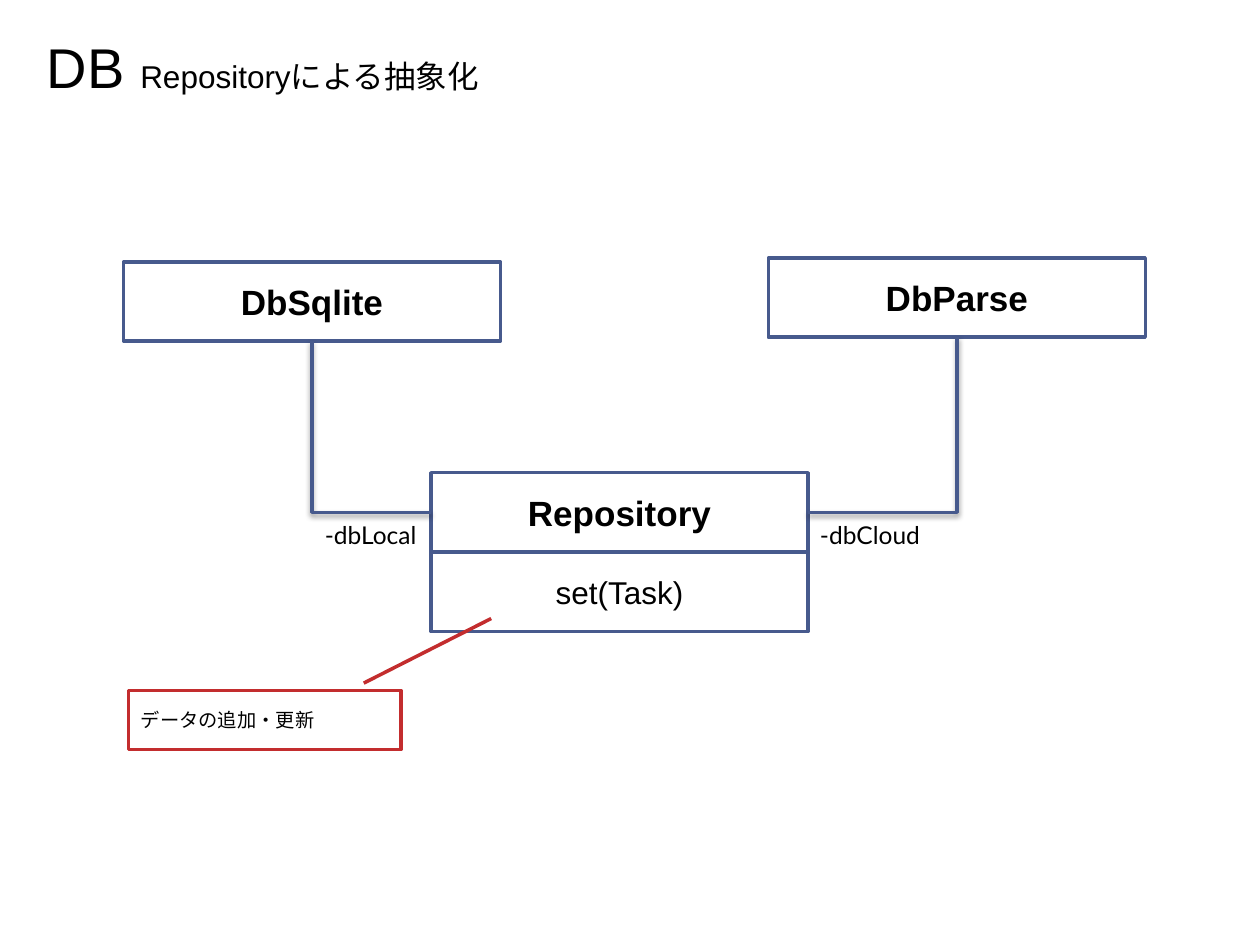
import pptx
import pptx.dml.color
import pptx.enum.shapes
import pptx.enum.text
import pptx.oxml
import pptx.oxml.ns
import pptx.util
from pptx.util import Cm

RGBColor = pptx.dml.color.RGBColor
BLACK = RGBColor(0x00, 0x00, 0x00)
WHITE = RGBColor(0xFF, 0xFF, 0xFF)
BLUE = RGBColor(0x47, 0x5A, 0x8D)
RED = RGBColor(0xC3, 0x2D, 0x2E)

SHAPES = pptx.enum.shapes.MSO_SHAPE
ALIGN = pptx.enum.text.PP_ALIGN
ANCHOR = pptx.enum.text.MSO_ANCHOR
AUTO_SIZE = pptx.enum.text.MSO_AUTO_SIZE

BOX_WIDTH, BOX_HEIGHT = 7.6, 1.6
LEFT_SITE, BOTTOM_SITE, RIGHT_SITE = 1, 2, 3

SHADOW = (
    f'<a:effectLst {pptx.oxml.ns.nsdecls("a")}>'
    '<a:outerShdw blurRad="40000" dist="20000" dir="5400000" rotWithShape="0">'
    '<a:srgbClr val="000000"><a:alpha val="38000"/></a:srgbClr>'
    '</a:outerShdw></a:effectLst>'
)


def format_run(run, size, font="Arial", bold=False):
    run.font.size = pptx.util.Pt(size)
    run.font.name = font
    run.font.bold = bold
    run.font.color.rgb = BLACK


def add_title(slide, heading, subtitle):
    title = slide.shapes.title
    title.left, title.top, title.width, title.height = Cm(0.69), Cm(0.53), Cm(24), Cm(1.63)
    frame = title.text_frame
    frame.vertical_anchor = ANCHOR.TOP
    frame.auto_size = AUTO_SIZE.SHAPE_TO_FIT_TEXT
    paragraph = frame.paragraphs[0]
    paragraph.alignment = ALIGN.LEFT
    for text, size in ((heading, 32), (subtitle, 18)):
        run = paragraph.add_run()
        run.text = text
        format_run(run, size)


def add_box(slide, text, left, top, size=20, bold=True, width=BOX_WIDTH,
            height=BOX_HEIGHT, preset=SHAPES.RECTANGLE, color=BLUE, align=ALIGN.CENTER):
    shape = slide.shapes.add_shape(preset, Cm(left), Cm(top), Cm(width), Cm(height))
    shape.shadow.inherit = False
    shape.fill.solid()
    shape.fill.fore_color.rgb = WHITE
    shape.line.color.rgb = color
    shape.line.width = pptx.util.Pt(2)
    frame = shape.text_frame
    frame.text = text
    frame.vertical_anchor = ANCHOR.MIDDLE
    paragraph = frame.paragraphs[0]
    paragraph.alignment = align
    format_run(paragraph.runs[0], size, bold=bold)
    return shape


def add_callout(slide, text, left, top):
    callout = add_box(slide, text, left, top, size=11, bold=False, width=5.49, height=1.19,
                      preset=SHAPES.LINE_CALLOUT_1, color=RED, align=ALIGN.LEFT)
    # Pointer start (y, x) and end (y, x), as shares of the box
    for index, value in enumerate((-0.125, 0.864, -1.219, 1.332)):
        callout.adjustments[index] = value


def add_link(slide, source, source_site, target):
    """Run sideways from the source box, then up to the bottom of the target."""
    start_x = source.left if source_site == LEFT_SITE else source.left + source.width
    connector = slide.shapes.add_connector(
        pptx.enum.shapes.MSO_CONNECTOR.ELBOW,
        start_x, source.top + source.height // 2,
        target.left + target.width // 2, target.top + target.height)
    connector.begin_connect(source, source_site)
    connector.end_connect(target, BOTTOM_SITE)
    connector.line.color.rgb = BLUE
    connector.line.width = pptx.util.Pt(2)
    # A single bend, and a soft shadow below
    properties = connector.element.spPr
    properties.find(pptx.oxml.ns.qn("a:prstGeom")).set("prst", "bentConnector2")
    properties.append(pptx.oxml.parse_xml(SHADOW))


def add_label(slide, text, left, top):
    label = slide.shapes.add_textbox(Cm(left), Cm(top), Cm(3.81), Cm(0.86))
    frame = label.text_frame
    frame.word_wrap = True
    frame.auto_size = AUTO_SIZE.SHAPE_TO_FIT_TEXT
    frame.text = text
    format_run(frame.paragraphs[0].runs[0], 14, font="Lato")


def main():
    presentation = pptx.Presentation()
    presentation.slide_width, presentation.slide_height = Cm(25.4), Cm(19.05)
    slide = presentation.slides.add_slide(presentation.slide_layouts[5])
    add_title(slide, "DB ", "Repositoryによる抽象化")

    # Classes
    local = add_box(slide, "DbSqlite", 2.49, 5.28)
    cloud = add_box(slide, "DbParse", 15.49, 5.2)
    repository = add_box(slide, "Repository", 8.69, 9.53)
    add_box(slide, "set(Task)", 8.69, 9.53 + BOX_HEIGHT, size=18, bold=False)

    # Associations and their roles
    add_link(slide, repository, LEFT_SITE, local)
    add_link(slide, repository, RIGHT_SITE, cloud)
    add_label(slide, "-dbLocal", 6.3, 10.36)
    add_label(slide, "-dbCloud", 16.28, 10.36)

    # Note on the method
    add_callout(slide, "データの追加・更新", 2.59, 13.92)

    presentation.save("out.pptx")


if __name__ == "__main__":
    main()
